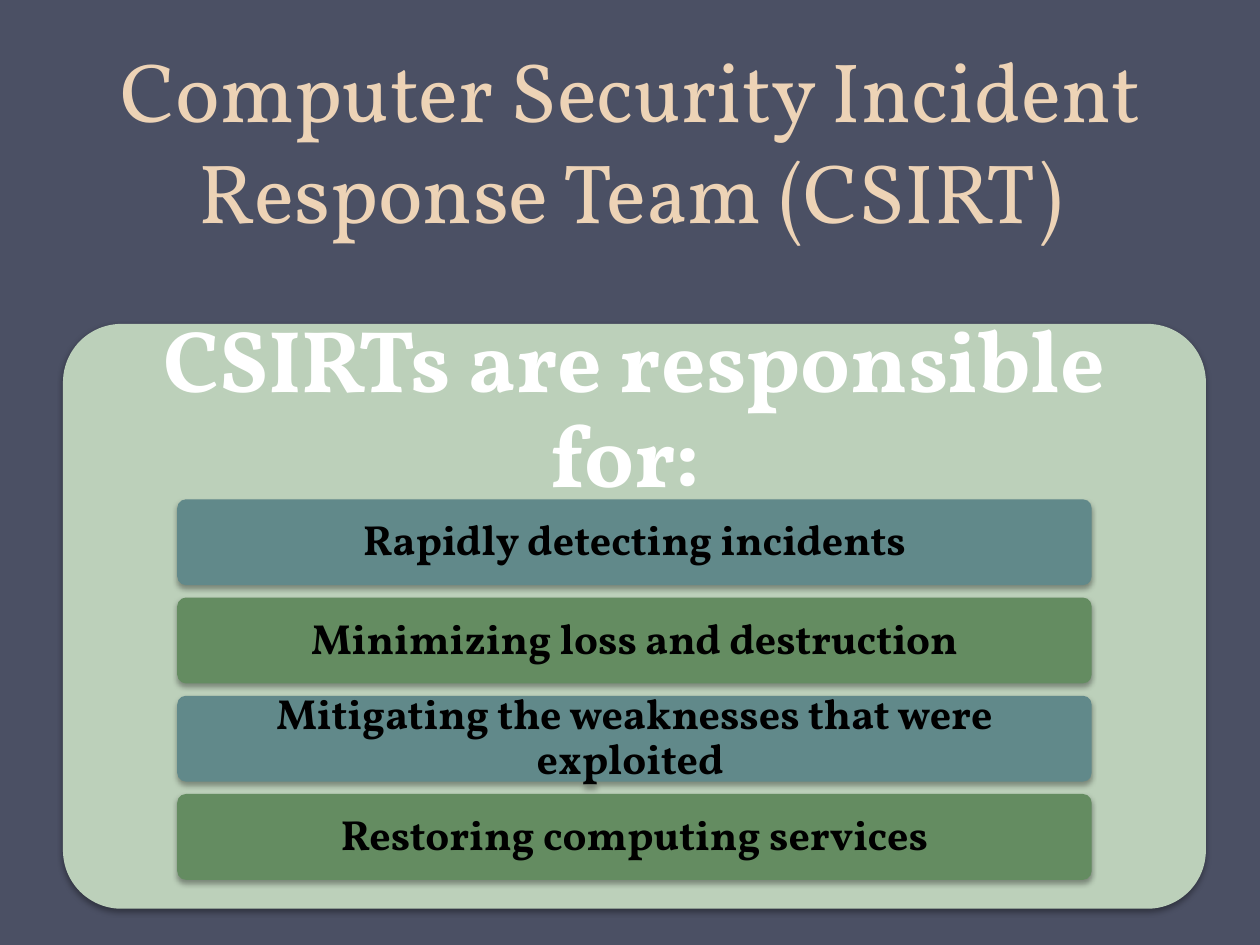
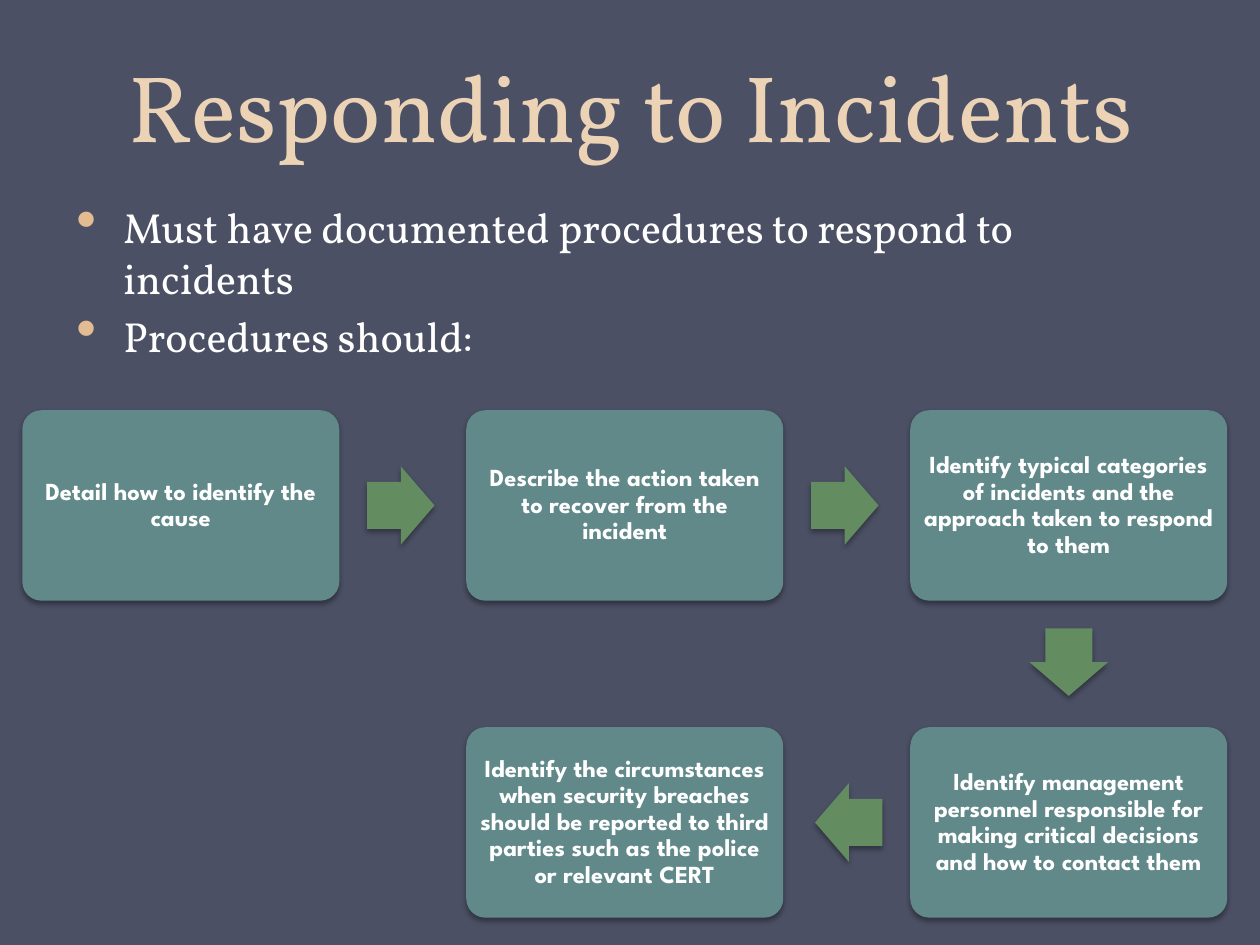
from collections import namedtuple

from lxml.etree import SubElement
from pptx import Presentation
from pptx.dml.color import RGBColor
from pptx.enum.shapes import MSO_SHAPE
from pptx.enum.text import MSO_ANCHOR, PP_ALIGN
from pptx.oxml.ns import qn
from pptx.util import Cm, Pt

COLORS = {
    "background": "4B5064",
    "title": "EDD3B6",
    "bullet": "E3BC92",
    "panel": "BCD0BA",
    "teal": "61898A",
    "green": "648C61",
    "light": "FFFFFF",
    "dark": "000000",
    "shadow": "000000",
}
SERIF = "Vollkorn"
SANS = "League Spartan"

Box = namedtuple("Box", "left top width height")  # centimetres


def rgb(name):
    return RGBColor.from_string(COLORS[name])


def to_emu(box):
    return [Cm(length) for length in box]


def style_runs(paragraph, font_name, size, color, bold=False):
    for run in paragraph.runs:
        run.font.name = font_name
        run.font.size = Pt(size)
        run.font.color.rgb = rgb(color)
        run.font.bold = bold


def set_centered_text(shape, text, inset_x, inset_y, line_spacing, *font):
    frame = shape.text_frame
    frame.word_wrap = True
    frame.margin_left = frame.margin_right = Cm(inset_x)
    frame.margin_top = frame.margin_bottom = Cm(inset_y)
    frame.vertical_anchor = MSO_ANCHOR.MIDDLE
    frame.text = text
    paragraph = frame.paragraphs[0]
    paragraph.alignment = PP_ALIGN.CENTER
    paragraph.line_spacing = line_spacing
    style_runs(paragraph, *font)


def add_shadow(shape):
    shape.shadow.inherit = False
    effects = shape._element.spPr.find(qn("a:effectLst"))
    shadow = SubElement(effects, qn("a:outerShdw"), blurRad=str(Pt(3.1)),
                        dist=str(Pt(1.8)), dir="5400000", rotWithShape="0")
    color = SubElement(shadow, qn("a:srgbClr"), val=COLORS["shadow"])
    SubElement(color, qn("a:alpha"), val="35000")


def add_block(slide, kind, box, fill, adjustments):
    block = slide.shapes.add_shape(kind, *to_emu(box))
    for index, value in enumerate(adjustments):
        block.adjustments[index] = value
    block.fill.solid()
    block.fill.fore_color.rgb = rgb(fill)
    block.line.fill.background()
    add_shadow(block)
    return block


def add_card(slide, box, fill):
    return add_block(slide, MSO_SHAPE.ROUNDED_RECTANGLE, box, fill, [0.1])


def add_titled_slide(deck, title, top, size):
    slide = deck.slides.add_slide(deck.slide_layouts[6])
    slide.background.fill.solid()
    slide.background.fill.fore_color.rgb = rgb("background")
    heading = slide.shapes.add_textbox(*to_emu(Box(1.29, top, 22.86, 4.45)))
    set_centered_text(heading, title, 0.25, 0.13, Pt(58), SERIF, size, "title")
    heading.text_frame.vertical_anchor = MSO_ANCHOR.BOTTOM
    return slide


def add_responsibilities(slide, box, heading, duties):
    """Panel whose top 30% holds the heading, with a stack of bars below."""
    add_card(slide, box, "panel")
    heading_height = 0.3 * box.height
    caption = slide.shapes.add_textbox(*to_emu(box._replace(height=heading_height)))
    set_centered_text(caption, heading, 0.53, 0.53, 0.9, SERIF, 50, "light", True)

    bar_height, bar_pitch = 1.73, 1.98
    for index, duty in enumerate(duties):
        bar = add_card(slide, Box(box.left + 0.1 * box.width,
                                  box.top + heading_height + index * bar_pitch,
                                  0.8 * box.width, bar_height),
                       ("teal", "green")[index % 2])
        set_centered_text(bar, duty, 0.18, 0.13, 0.9, SERIF, 24, "dark", True)


def add_bullets(slide, box, points):
    frame = slide.shapes.add_textbox(*to_emu(box)).text_frame
    frame.word_wrap = True
    frame.text = "\n".join(points)
    for index, paragraph in enumerate(frame.paragraphs):
        if index:
            paragraph.space_before = Pt(4.8)
        properties = paragraph._p.get_or_add_pPr()
        properties.set("marL", str(Cm(0.95)))
        properties.set("indent", str(-Cm(0.95)))
        bullet_color = SubElement(properties, qn("a:buClr"))
        SubElement(bullet_color, qn("a:srgbClr"), val=COLORS["bullet"])
        SubElement(properties, qn("a:buSzPct"), val="140000")
        SubElement(properties, qn("a:buChar"), char="•")
        style_runs(paragraph, SERIF, 24, "light")


def add_step_arrow(slide, step, direction):
    """Arrow that starts a fixed gap outside the step it leaves."""
    length, breadth, gap = 1.36, 1.58, 0.56
    across, down, rotation = direction
    reach = gap + length / 2
    center_x = step.left + step.width / 2 + across * (step.width / 2 + reach)
    center_y = step.top + step.height / 2 + down * (step.height / 2 + reach)
    arrow = add_block(slide, MSO_SHAPE.RIGHT_ARROW,
                      Box(center_x - length / 2, center_y - breadth / 2, length, breadth),
                      "green", [0.6, 0.5])
    arrow.rotation = rotation


def add_procedure_flow(slide, box, steps):
    """Steps run right along the first row, then back left along the second."""
    step_width, step_height = 6.39, 3.84
    pitch_x = (box.width - step_width) / 2
    pitch_y = box.height - step_height
    right, down, left = (1, 0, 0), (0, 1, 90), (-1, 0, 180)
    route = [(0, 0, right), (1, 0, right), (2, 0, down), (2, 1, left), (1, 1, None)]
    for (column, row, direction), text in zip(route, steps):
        step = Box(box.left + column * pitch_x, box.top + row * pitch_y,
                   step_width, step_height)
        card = add_card(slide, step, "teal")
        set_centered_text(card, text, 0.15, 0.15, 0.9, SANS, 14, "light", True)
        if direction:
            add_step_arrow(slide, step, direction)


def build_team_slide(deck):
    slide = add_titled_slide(
        deck, "Computer Security Incident Response Team (CSIRT)", 0.53, 48)
    add_responsibilities(slide, Box(1.27, 6.53, 23.04, 11.79),
                         "CSIRTs are responsible for: ", [
        "Rapidly detecting incidents",
        "Minimizing loss and destruction",
        "Mitigating the weaknesses that were exploited ",
        "Restoring computing services",
    ])


def build_response_slide(deck):
    slide = add_titled_slide(deck, "Responding to Incidents", -1.07, 54)
    add_bullets(slide, Box(1.29, 3.94, 22.86, 3.61), [
        "Must have documented procedures to respond to incidents",
        "Procedures should:",
    ])
    add_procedure_flow(slide, Box(0.45, 8.27, 24.29, 10.23), [
        "Detail how to identify the cause",
        "Describe the action taken to recover from the incident",
        "Identify typical categories of incidents and the approach taken "
        "to respond to them",
        "Identify management personnel responsible for making critical "
        "decisions and how to contact them",
        "Identify the circumstances when security breaches should be reported "
        "to third parties such as the police or relevant CERT",
    ])


def main():
    deck = Presentation()
    deck.slide_width, deck.slide_height = Cm(25.4), Cm(19.05)
    build_team_slide(deck)
    build_response_slide(deck)
    deck.save("out.pptx")


if __name__ == "__main__":
    main()
